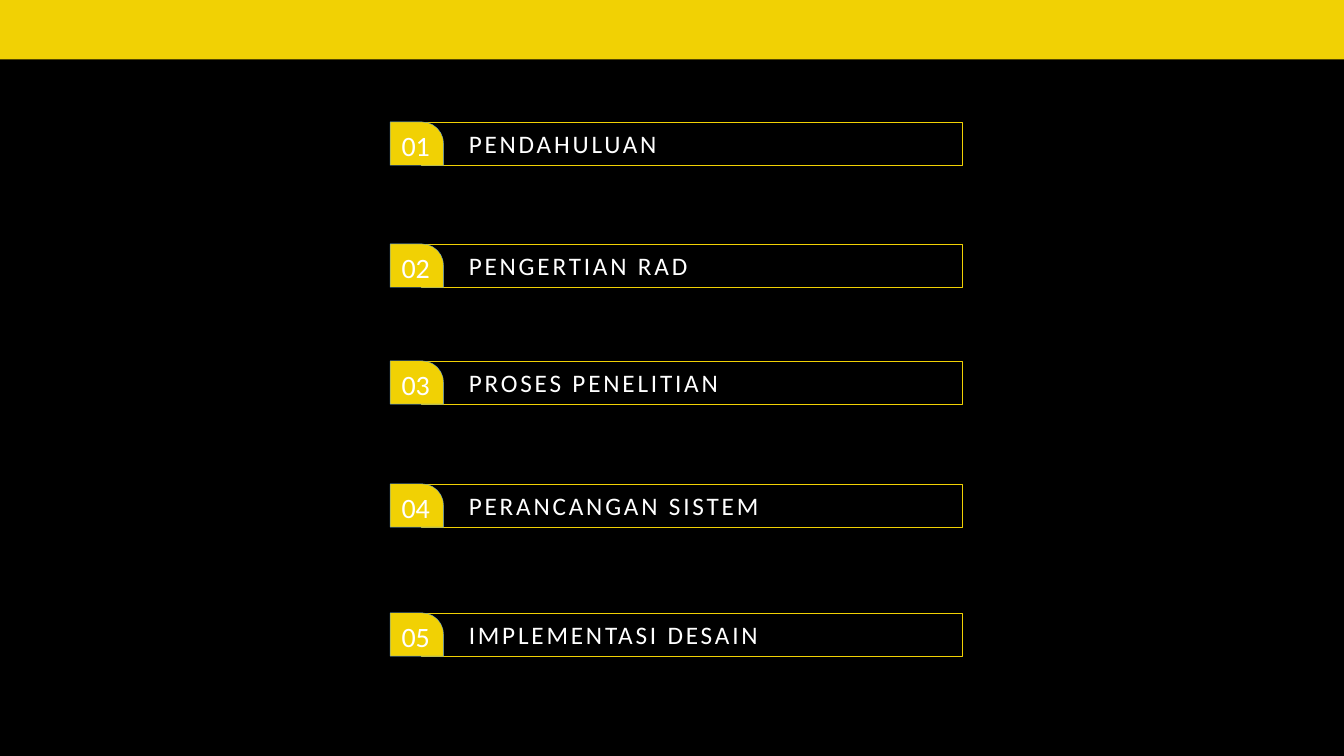
from dataclasses import dataclass

from pptx import Presentation
from pptx.dml.color import RGBColor
from pptx.enum.shapes import MSO_SHAPE
from pptx.enum.text import MSO_ANCHOR, PP_ALIGN
from pptx.shapes.autoshape import Shape
from pptx.slide import Slide
from pptx.util import Inches, Pt

RECT = MSO_SHAPE.RECTANGLE
TAB = MSO_SHAPE.ROUND_1_RECTANGLE
MIDDLE = MSO_ANCHOR.MIDDLE
LEFT, CENTER = PP_ALIGN.LEFT, PP_ALIGN.CENTER

BLACK = RGBColor(0x00, 0x00, 0x00)
WHITE = RGBColor(0xFF, 0xFF, 0xFF)
YELLOW = RGBColor(0xF1, 0xD1, 0x04)
BLUE = RGBColor(0x5B, 0x9B, 0xD5)

FONT = "Calibri"
SLIDE_W, SLIDE_H = 13.33, 7.5
ROW_H = 0.43


@dataclass
class Chapter:
    title: str
    top: float


CHAPTERS = [
    Chapter("PENDAHULUAN", 1.21),
    Chapter("PENGERTIAN RAD", 2.42),
    Chapter("PROSES PENELITIAN", 3.58),
    Chapter("PERANCANGAN SISTEM", 4.8),
    Chapter("IMPLEMENTASI DESAIN", 6.08),
]


def add_box(shapes, kind: MSO_SHAPE, left: float, top: float, width: float, height: float,
            fill: RGBColor | None = None, line: RGBColor | None = None) -> Shape:
    sp = shapes.add_shape(kind, Inches(left), Inches(top), Inches(width), Inches(height))
    sp.shadow.inherit = False
    if fill is None:
        sp.fill.background()
    else:
        sp.fill.solid()
        sp.fill.fore_color.rgb = fill
    if line is None:
        sp.line.fill.background()
    else:
        sp.line.color.rgb = line
        sp.line.width = Pt(0.25)
    return sp


def set_text(sp: Shape, text: str, size: int, align: PP_ALIGN,
             insets: tuple[float, float, float, float], spacing: int = 0) -> None:
    tf = sp.text_frame
    tf.word_wrap = True
    tf.vertical_anchor = MIDDLE
    tf.margin_left, tf.margin_top, tf.margin_right, tf.margin_bottom = map(Inches, insets)
    p = tf.paragraphs[0]
    p.alignment = align
    r = p.add_run()
    r.text = text
    p.font.name = FONT
    p.font.size = Pt(size)
    p.font.color.rgb = WHITE
    if spacing:
        r.font._element.set("spc", str(spacing * 100))


def add_chapter(s: Slide, number: int, chapter: Chapter) -> None:
    group = s.shapes.add_group_shape()
    frame = add_box(group.shapes, RECT, 4.18, chapter.top, 5.36, ROW_H, line=YELLOW)
    set_text(frame, chapter.title, 18, LEFT, (0.47, 0, 0.08, 0), spacing=2)
    tab = add_box(group.shapes, TAB, 3.87, chapter.top, 0.53, ROW_H, YELLOW, BLUE)
    tab.adjustments[0] = 0.5
    set_text(tab, f"{number:02d}", 20, CENTER, (0.04, 0.04, 0, 0))


def main() -> None:
    prs = Presentation()
    prs.slide_width, prs.slide_height = Inches(SLIDE_W), Inches(SLIDE_H)
    s = prs.slides.add_slide(prs.slide_layouts[6])

    # Backdrop and top band
    add_box(s.shapes, RECT, 0, 0, SLIDE_W, SLIDE_H, BLACK)
    add_box(s.shapes, RECT, 0, 0, SLIDE_W, 0.59, YELLOW)

    # Numbered chapters
    for number, chapter in enumerate(CHAPTERS, start=1):
        add_chapter(s, number, chapter)

    prs.save("out.pptx")


if __name__ == "__main__":
    main()
